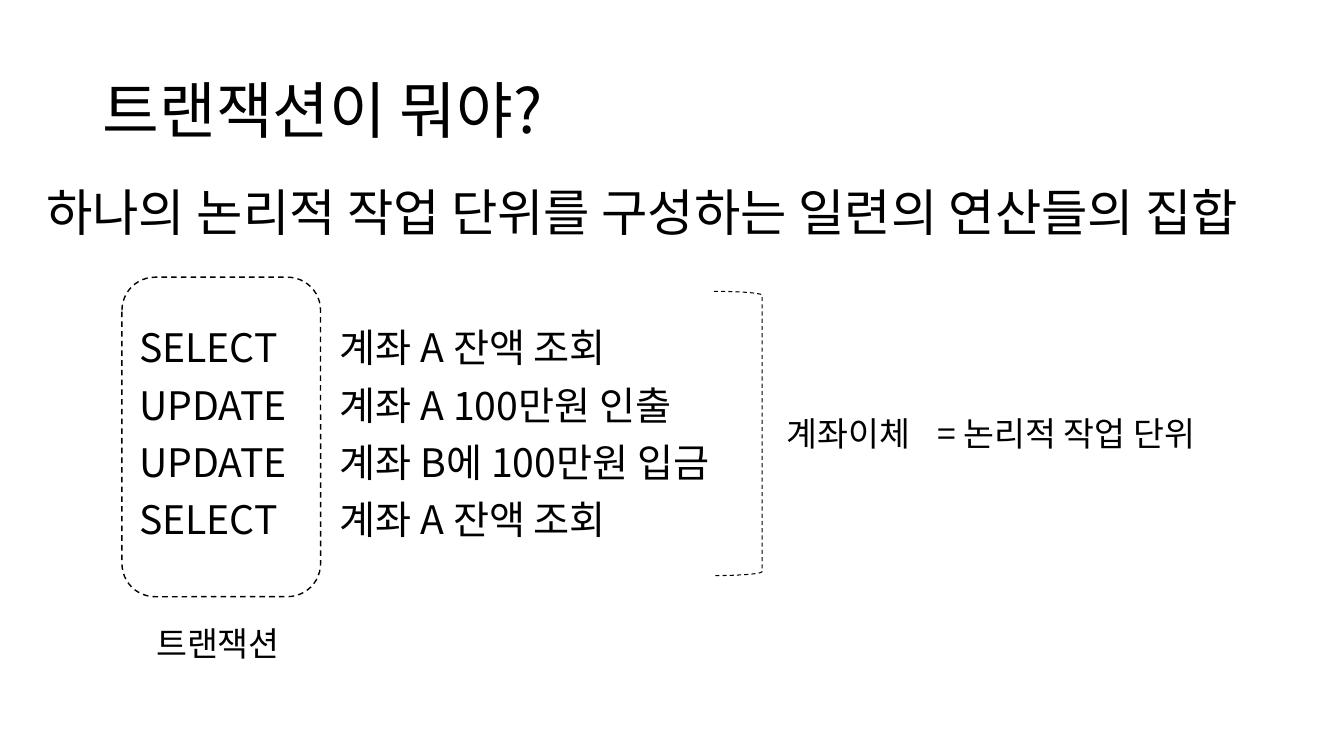
from pptx import Presentation
from pptx.dml.color import RGBColor
from pptx.enum import dml, shapes, text
from pptx.oxml.ns import qn
from pptx.util import Inches, Pt
from lxml import etree

BLACK = RGBColor(0, 0, 0)
KOREAN = "Noto Sans CJK KR"
LATIN = "Open Sans"

STEPS = [
    ("SELECT", "계좌 A 잔액 조회"),
    ("UPDATE", "계좌 A 100만원 인출"),
    ("UPDATE", "계좌 B에 100만원 입금"),
    ("SELECT", "계좌 A 잔액 조회"),
    ("", ""),
]


def format_text(tf, size, font=KOREAN):
    for p in tf.paragraphs:
        for r in p.runs:
            r.font.size = Pt(size)
            r.font.name = font
            r.font.color.rgb = BLACK
            # Hangul takes its typeface from a:ea
            ea = etree.SubElement(r.font._element, qn("a:ea"))
            ea.set("typeface", KOREAN)


def add_label(s, words, left, top, width, height, size, font=KOREAN):
    box = s.shapes.add_textbox(*map(Inches, (left, top, width, height)))
    tf = box.text_frame
    tf.text = words
    tf.word_wrap = False
    format_text(tf, size, font)
    return tf


def add_title(s, words):
    tf = add_label(s, words, 0.92, 0.4, 11.5, 1.45, 44)
    tf.word_wrap = True
    tf.vertical_anchor = text.MSO_ANCHOR.MIDDLE
    tf.paragraphs[0].line_spacing = 0.9


def add_dashed_shape(s, kind, left, top, width, height, weight):
    sp = s.shapes.add_shape(kind, *map(Inches, (left, top, width, height)))
    sp.shadow.inherit = False
    sp.fill.background()
    sp.line.color.rgb = BLACK
    sp.line.width = Pt(weight)
    sp.line.dash_style = dml.MSO_LINE.DASH
    return sp


def add_steps_table(s, rows, left, top, widths, row_height):
    frame = s.shapes.add_table(len(rows), len(widths), Inches(left), Inches(top),
                               Inches(sum(widths)), Inches(row_height * len(rows)))
    table = frame.table
    table.first_row = table.horz_banding = False
    # "No Style, No Grid" table style
    style = table._tbl.tblPr.find(qn("a:tableStyleId"))
    style.text = "{2D5ABB26-0587-4C30-8999-92F81FD0307C}"
    for column, width in zip(table.columns, widths):
        column.width = Inches(width)
    for row, values in zip(table.rows, rows):
        row.height = Inches(row_height)
        for cell, value in zip(row.cells, values):
            cell.fill.background()
            if value:
                cell.text_frame.text = value
                format_text(cell.text_frame, 28)


def main():
    prs = Presentation()
    prs.slide_width, prs.slide_height = Inches(13.33), Inches(7.5)
    s = prs.slides.add_slide(prs.slide_layouts[6])

    # Question and definition
    add_title(s, "트랜잭션이 뭐야?")
    add_label(s, "하나의 논리적 작업 단위를 구성하는 일련의 연산들의 집합",
              0.36, 1.75, 12.61, 0.71, 36, LATIN)

    # Steps of the account transfer
    add_steps_table(s, STEPS, 1.28, 3.1, (1.99, 4.72), 0.41)

    # Bracket: the steps form one logical unit
    bracket = add_dashed_shape(s, shapes.MSO_SHAPE.LEFT_BRACKET,
                               7.08, 2.89, 0.48, 2.82, 0.75)
    bracket.rotation = 180
    add_label(s, "계좌이체", 7.7, 4.05, 1.49, 0.5, 24)
    add_label(s, "= 논리적 작업 단위", 9.2, 4.05, 2.97, 0.5, 24)

    # Frame around the statements
    add_dashed_shape(s, shapes.MSO_SHAPE.ROUNDED_RECTANGLE,
                     1.21, 2.75, 1.97, 3.17, 1)
    add_label(s, "트랜잭션", 1.45, 6.13, 1.49, 0.5, 24)

    prs.save("out.pptx")


main()
